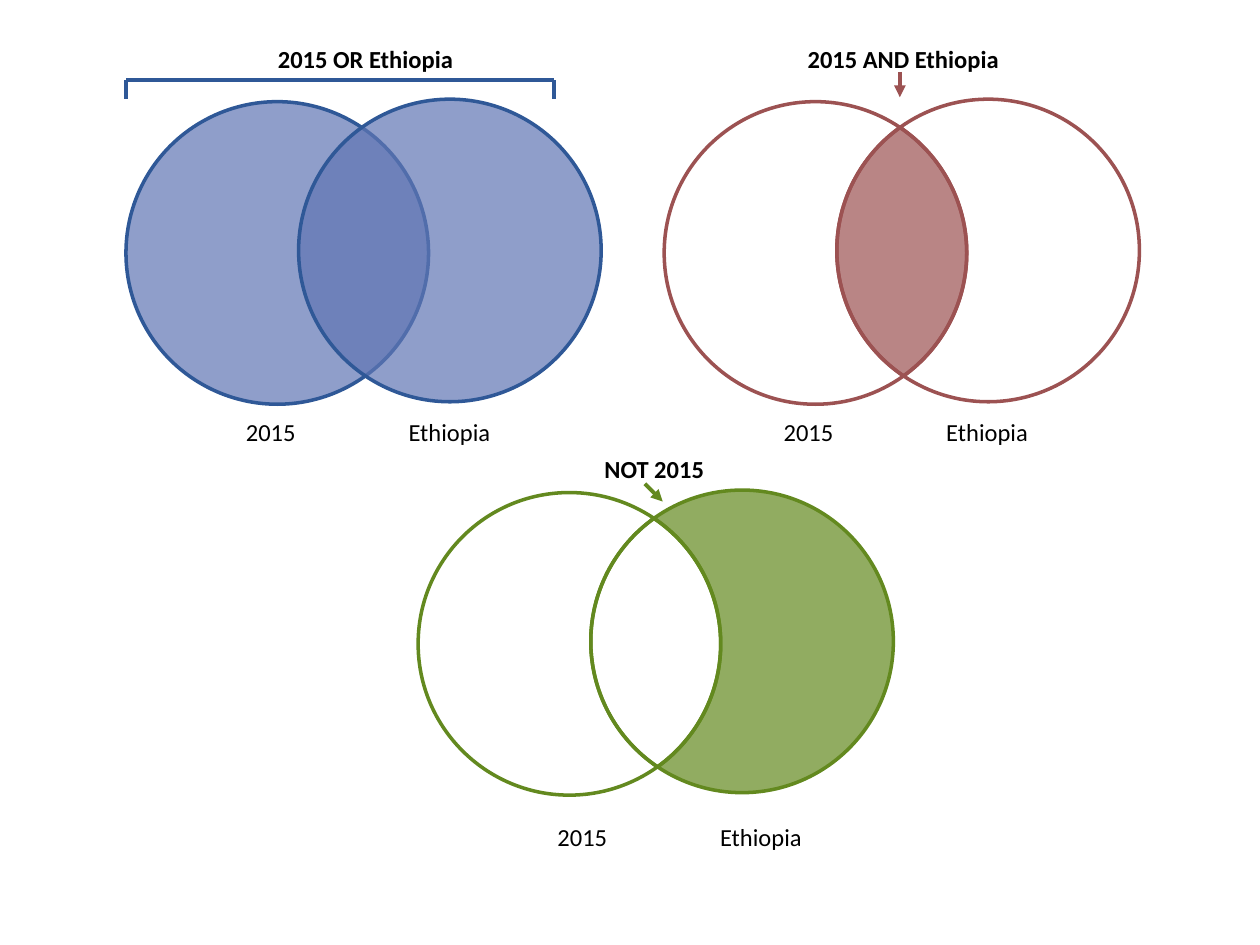
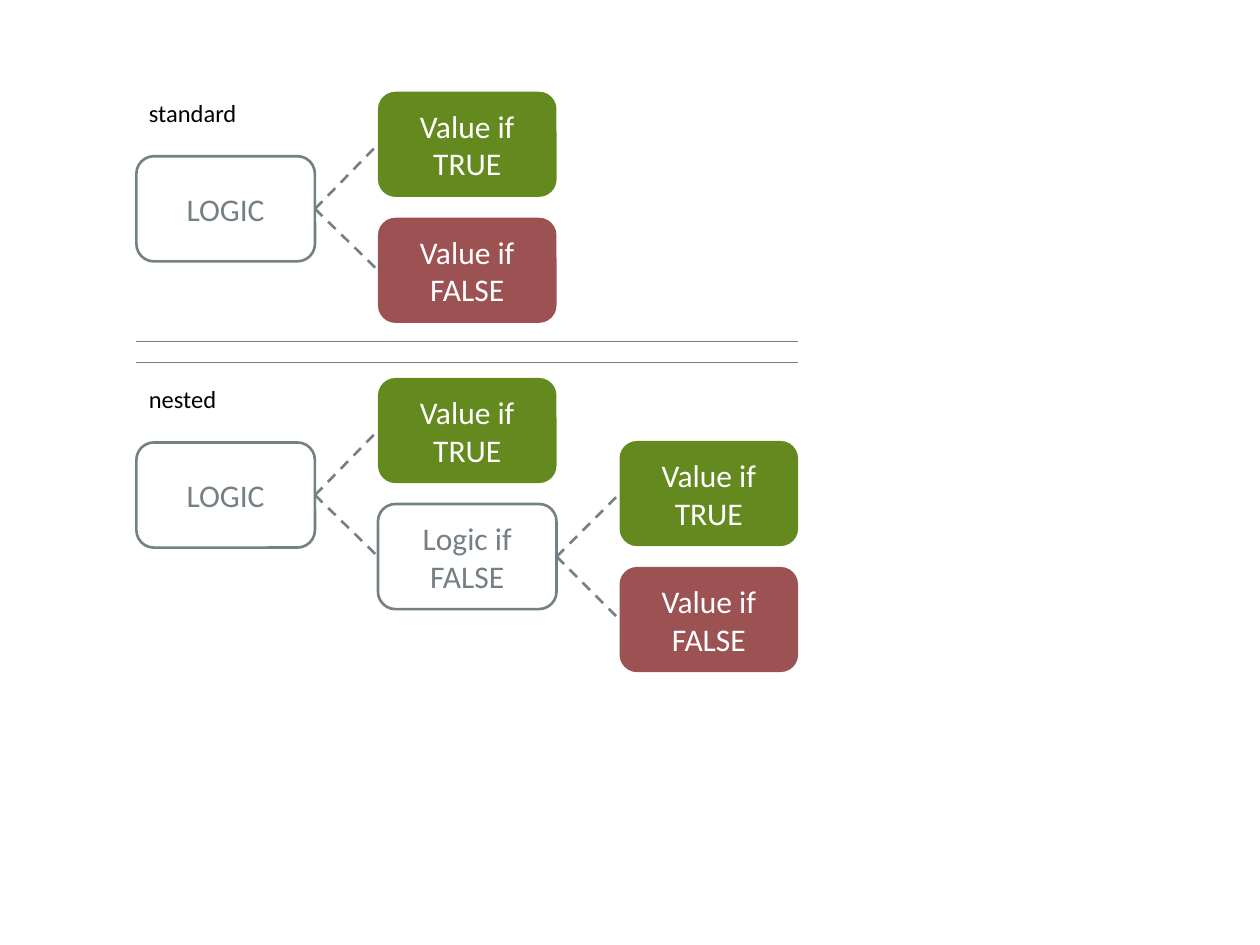
"""Build two slides: Venn diagrams of OR, AND and NOT, and the branches of IF logic."""
import math

from lxml import etree
from pptx import Presentation
from pptx.dml.color import RGBColor
from pptx.enum import dml, shapes, text
from pptx.oxml.ns import qn
from pptx.util import Cm, Pt

COLOURS = {"blue": "2F5897", "periwinkle": "6076B4", "red": "9C5252", "green": "63891F",
           "grey": "758085", "black": "000000", "white": "FFFFFF"}
RGB = {name: RGBColor.from_string(value) for name, value in COLOURS.items()}
FONT = "Calibri"


def add_label(slide, wording, left, top, width, bold=False, align=text.PP_ALIGN.CENTER):
    frame = slide.shapes.add_textbox(Cm(left), Cm(top), Cm(width), Cm(0.86)).text_frame
    frame.word_wrap = True
    frame.auto_size = text.MSO_AUTO_SIZE.SHAPE_TO_FIT_TEXT
    frame.paragraphs[0].alignment = align
    run = frame.paragraphs[0].add_run()
    run.text = wording
    run.font.name, run.font.size, run.font.bold = FONT, Pt(14), bold
    run.font.color.rgb = RGB["black"]


def add_line(slide, start, end, colour, weight, arrow=False):
    line = slide.shapes.add_connector(shapes.MSO_CONNECTOR.STRAIGHT,
                                      *[Cm(value) for value in (*start, *end)])
    line.line.color.rgb = RGB[colour]
    line.line.width = Pt(weight)
    if arrow:
        etree.SubElement(line.line._get_or_add_ln(), qn("a:tailEnd"), type="triangle")
    etree.SubElement(line._element.spPr, qn("a:effectLst"))
    return line


prs = Presentation()
prs.slide_width, prs.slide_height = Cm(25.4), Cm(19.05)
blank = prs.slide_layouts[6]

venn = prs.slides.add_slide(blank)
RADIUS, SHIFT_X, SHIFT_Y = 3.05, 3.48, -0.05
tilt = math.atan2(SHIFT_Y, SHIFT_X)
spread = math.acos(math.hypot(SHIFT_X, SHIFT_Y) / 2 / RADIUS)
turn = math.pi
regions = {
    "2015": [("2015", spread, 2 * turn - spread), ("Ethiopia", turn + spread, turn - spread)],
    "Ethiopia": [("Ethiopia", turn + spread, 3 * turn - spread), ("2015", spread, -spread)],
    "both": [("2015", -spread, spread), ("Ethiopia", turn - spread, turn + spread)],
}
diagrams = [
    ("2015 OR Ethiopia", (5.59, 5.1), "blue", "periwinkle", "all", (4.55, 0.76), (3.77, 8.29)),
    ("2015 AND Ethiopia", (16.44, 5.1), "red", "red", "both", (15.39, 0.76), (14.61, 8.29)),
    ("NOT 2015", (11.48, 12.98), "green", "green", "Ethiopia", (10.37, 9.03), (10.05, 16.45)),
]
for heading, (x, y), outline, tint, filled, heading_at, names_at in diagrams:
    centres = {"2015": (x, y), "Ethiopia": (x + SHIFT_X, y + SHIFT_Y)}
    parts = []
    if filled == "all":
        for cx, cy in centres.values():
            circle = venn.shapes.add_shape(shapes.MSO_SHAPE.OVAL, Cm(cx - RADIUS), Cm(cy - RADIUS),
                                           Cm(2 * RADIUS), Cm(2 * RADIUS))
            parts.append((circle, True))
    else:
        for region in sorted(regions, key=lambda name: name == filled):
            points = []
            for owner, first, last in regions[region]:
                cx, cy = centres[owner]
                first, last = first + tilt, last + tilt
                quarters = [n * turn / 2 for n in range(-1, 7)
                            if min(first, last) < n * turn / 2 < max(first, last)]
                stops = sorted([first, *quarters, last], reverse=first > last)
                for start, end in zip(stops, stops[1:]):
                    pull = 4 / 3 * math.tan((end - start) / 4)
                    for angle, reach in ((start, 0), (start, pull), (end, -pull), (end, 0)):
                        if points and (angle, reach) == (start, 0):
                            continue
                        across = math.cos(angle) - reach * math.sin(angle)
                        down = math.sin(angle) + reach * math.cos(angle)
                        points.append((Cm(cx + RADIUS * across), Cm(cy + RADIUS * down)))
            builder = venn.shapes.build_freeform(*points[0])
            builder.add_line_segments(points[1:], close=True)
            outline_part = builder.convert_to_shape()
            segments = list(outline_part._element.spPr.iter(qn("a:lnTo")))
            for index in range(0, len(segments) - 2, 3):
                curve = etree.Element(qn("a:cubicBezTo"))
                segments[index].addprevious(curve)
                for segment in segments[index:index + 3]:
                    curve.append(segment[0])
                    segment.getparent().remove(segment)
            parts.append((outline_part, region == filled))
    for part, is_filled in parts:
        part.shadow.inherit = False
        part.line.color.rgb = RGB[outline]
        part.line.width = Pt(2)
        if is_filled:
            part.fill.solid()
            part.fill.fore_color.rgb = RGB[tint]
            tint_xml = part._element.spPr.find(qn("a:solidFill")).find(qn("a:srgbClr"))
            etree.SubElement(tint_xml, qn("a:alpha"), val="70000")
        else:
            part.fill.background()
    add_label(venn, heading, *heading_at, 5.64, bold=True)
    for index, name in enumerate(centres):
        add_label(venn, name, names_at[0] + 3.6 * index, names_at[1], 3.38)

for start, end in [((2.54, 1.62), (11.17, 1.62)), ((2.54, 1.62), (2.54, 2)),
                   ((11.17, 1.62), (11.17, 2))]:
    add_line(venn, start, end, "blue", 2.25)
add_line(venn, (18.14, 1.45), (18.14, 1.96), "red", 2.25, arrow=True)
add_line(venn, (13, 9.75), (13.36, 10.11), "green", 2.25, arrow=True)

logic = prs.slides.add_slide(blank)
LEFT, COLUMN_STEP, ROW_STEP, BOX_WIDTH, BOX_HEIGHT = 2.75, 4.87, 2.54, 3.6, 2.12
for rule_y in (6.88, 7.31):
    add_line(logic, (LEFT, rule_y), (16.08, rule_y), "grey", 0.75)

true_leaf = ("Value if TRUE", "green", [])
false_leaf = ("Value if FALSE", "red", [])
nested_test = ("Logic if FALSE", None, [true_leaf, false_leaf])
trees = [("standard", 1.85, ("LOGIC", None, [true_leaf, false_leaf])),
         ("nested", 7.62, ("LOGIC", None, [true_leaf, nested_test]))]
for caption, top, root in trees:
    add_label(logic, caption, LEFT, top, 3.38, align=text.PP_ALIGN.LEFT)
    pending = [(root, 0, top + 1.3, None)]
    while pending:
        (wording, colour, children), column, box_top, parent = pending.pop(0)
        box = logic.shapes.add_shape(shapes.MSO_SHAPE.ROUNDED_RECTANGLE,
                                     Cm(LEFT + COLUMN_STEP * column), Cm(box_top),
                                     Cm(BOX_WIDTH), Cm(BOX_HEIGHT))
        box.shadow.inherit = False
        if colour:
            box.fill.solid()
            box.fill.fore_color.rgb = RGB[colour]
            box.line.fill.background()
        else:
            box.fill.background()
            box.line.color.rgb = RGB["grey"]
            box.line.width = Pt(1.5)
        box.text_frame.vertical_anchor = text.MSO_ANCHOR.MIDDLE
        box.text_frame.paragraphs[0].alignment = text.PP_ALIGN.CENTER
        run = box.text_frame.paragraphs[0].add_run()
        run.text = wording
        run.font.name, run.font.size = FONT, Pt(18)
        run.font.color.rgb = RGB["white" if colour else "grey"]
        if parent is not None:
            branch = add_line(logic, (0, 0), (1, 1), "grey", 1.5)
            branch.line.dash_style = dml.MSO_LINE.DASH
            branch.begin_connect(parent, 3)
            branch.end_connect(box, 1)
        for row, child in enumerate(children):
            child_top = top + ROW_STEP * (column / 2 + row)
            pending.append((child, column + 1, child_top, box))

prs.save("out.pptx")
